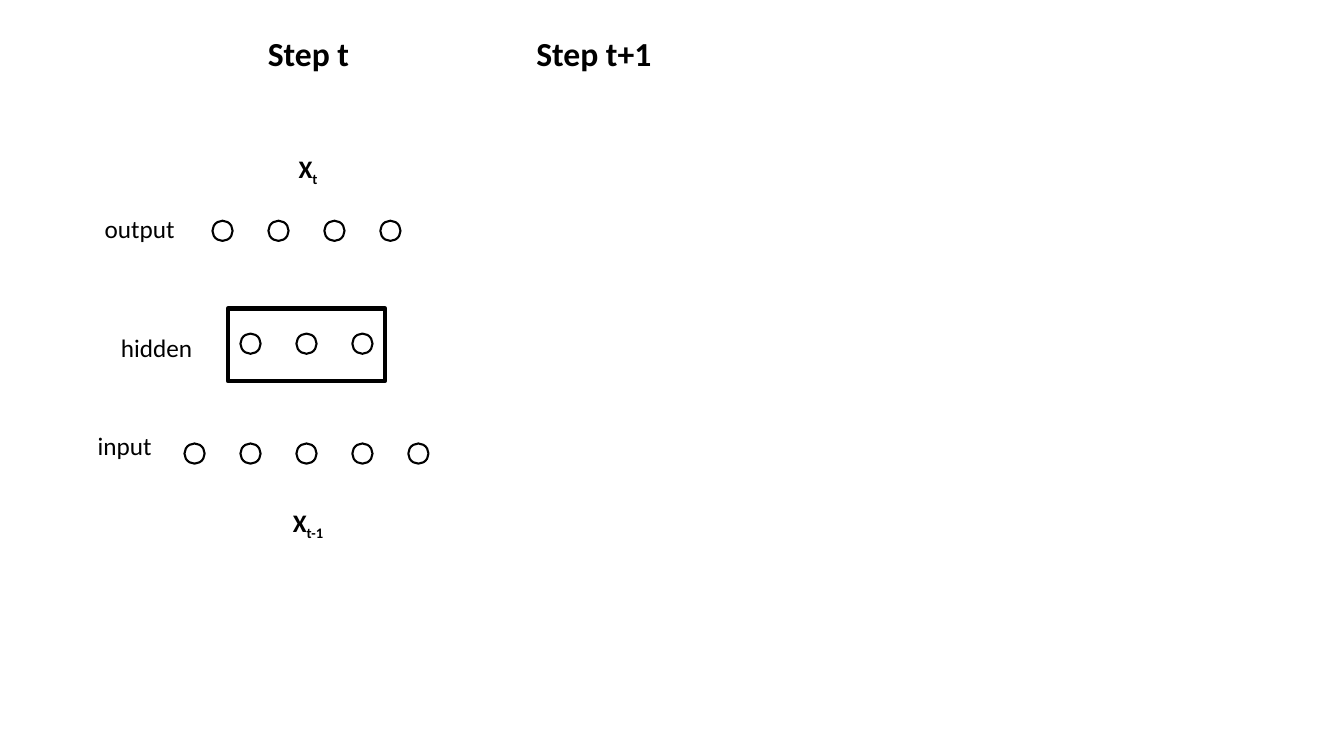
import pptx
import pptx.dml.color
import pptx.enum.shapes
import pptx.enum.text
import pptx.util

Inches = pptx.util.Inches
Pt = pptx.util.Pt
SHAPES = pptx.enum.shapes.MSO_SHAPE
ALIGN = pptx.enum.text.PP_ALIGN

BLACK = pptx.dml.color.RGBColor(0x00, 0x00, 0x00)
WHITE = pptx.dml.color.RGBColor(0xFF, 0xFF, 0xFF)

NETWORK_CENTER = 3.04
NODE_SIZE = 0.2
NODE_PITCH = 2.22 / 4


class NetworkSlide:
    def __init__(self, presentation):
        self.slide = presentation.slides.add_slide(presentation.slide_layouts[6])
        self.font_name = "Calibri"

    def outline(self, shapes, kind, left, top, width, height, line_width):
        """Add a white shape with a black border to the slide or a group."""
        shape = shapes.add_shape(
            kind, Inches(left), Inches(top), Inches(width), Inches(height))
        shape.shadow.inherit = False
        shape.fill.solid()
        shape.fill.fore_color.rgb = WHITE
        shape.line.color.rgb = BLACK
        shape.line.width = Pt(line_width)

    def hidden_frame(self, left, top, width, height):
        self.outline(self.slide.shapes, SHAPES.RECTANGLE,
                     left, top, width, height, 3)

    def node_row(self, count, top):
        """Add a group of evenly spaced nodes centred on the network."""
        group = self.slide.shapes.add_group_shape()
        first = NETWORK_CENTER - ((count - 1) * NODE_PITCH + NODE_SIZE) / 2
        for index in range(count):
            self.outline(group.shapes, SHAPES.OVAL, first + index * NODE_PITCH,
                         top, NODE_SIZE, NODE_SIZE, 1.5)

    def text(self, content, left, top, width, height, size=18,
             bold=False, align=ALIGN.LEFT, subscript=""):
        box = self.slide.shapes.add_textbox(
            Inches(left), Inches(top), Inches(width), Inches(height))
        frame = box.text_frame
        frame.word_wrap = True
        frame.auto_size = pptx.enum.text.MSO_AUTO_SIZE.SHAPE_TO_FIT_TEXT
        frame.text = content
        paragraph = frame.paragraphs[0]
        paragraph.alignment = align
        if subscript:
            run = paragraph.add_run()
            run.text = subscript
            run.font._element.set("baseline", "-25000")
        for run in paragraph.runs:
            run.font.name = self.font_name
            run.font.size = Pt(size)
            run.font.bold = bold
            run.font.color.rgb = BLACK


def main():
    presentation = pptx.Presentation()
    presentation.slide_width = Inches(13.33)
    presentation.slide_height = Inches(7.5)
    network = NetworkSlide(presentation)

    network.hidden_frame(2.26, 3.06, 1.56, 0.72)
    for subscript, top in (("t-1", 4.98), ("t", 1.47)):
        network.text("X", 2.78, top, 0.55, 0.4, bold=True,
                     align=ALIGN.CENTER, subscript=subscript)
    for heading, left in (("Step t", 2.35), ("Step t+1", 5.18)):
        network.text(heading, left, 0.28, 1.42, 0.5, size=24, bold=True,
                     align=ALIGN.CENTER)
    for count, top in ((3, 3.31), (5, 4.4), (4, 2.19)):
        network.node_row(count, top)
    for label, left, top, width in (("hidden", 1.1, 3.25, 1.09),
                                    ("input", 0.87, 4.22, 0.81),
                                    ("output", 0.94, 2.07, 1.09)):
        network.text(label, left, top, width, 0.4)

    presentation.save("out.pptx")


if __name__ == "__main__":
    main()
